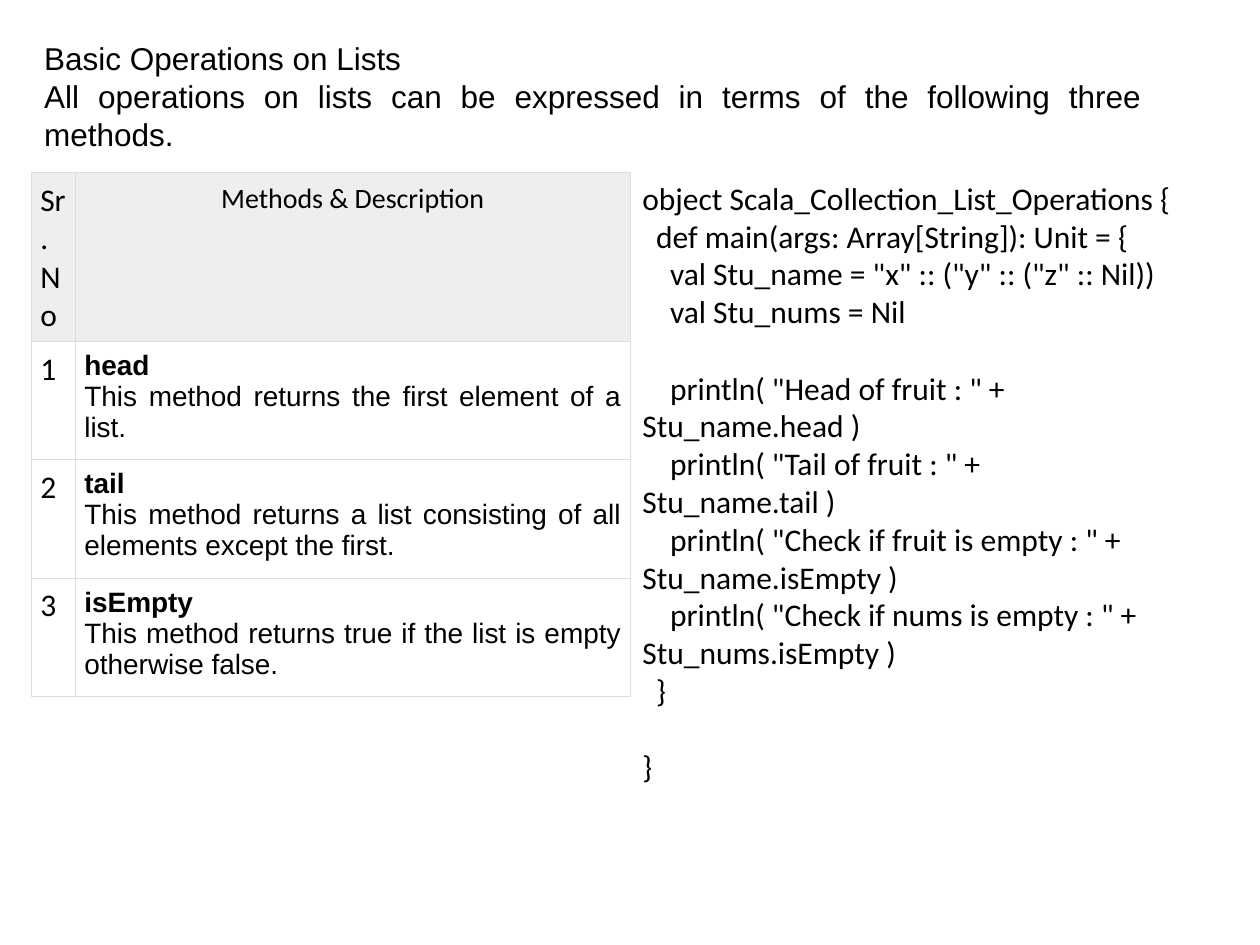
import dataclasses

import pptx
import pptx.dml.color
import pptx.enum.text
import pptx.oxml
import pptx.oxml.ns
import pptx.util
from pptx.util import Inches, Pt

ALIGN = pptx.enum.text.PP_ALIGN
ANCHOR = pptx.enum.text.MSO_ANCHOR
AUTO_SIZE = pptx.enum.text.MSO_AUTO_SIZE
TITLE_ONLY = 5


@dataclasses.dataclass(frozen=True)
class Theme:
    text: str = "000000"
    header_fill: str = "EEEEEE"
    border: str = "DDDDDD"
    border_width: float = 0.6
    heading_font: str = "Arial"
    body_font: str = "Calibri"
    large: int = 18
    small: int = 16
    blank_line: int = 22
    code_indent: float = 0.11


THEME = Theme()

HEADING = [
    ("Basic Operations on Lists", ALIGN.LEFT),
    ("All operations on lists can be expressed in terms of the following "
     "three methods.", ALIGN.JUSTIFY),
]
METHODS = [
    ("head", "This method returns the first element of a list."),
    ("tail", "This method returns a list consisting of all elements except the first."),
    ("isEmpty", "This method returns true if the list is empty otherwise false."),
]
# Indent level, whether a gap comes before, code
CODE = [
    (0, False, "object Scala_Collection_List_Operations {"),
    (1, False, "def main(args: Array[String]): Unit = {"),
    (2, False, 'val Stu_name = "x" :: ("y" :: ("z" :: Nil))'),
    (2, False, "val Stu_nums = Nil"),
    (2, True, 'println( "Head of fruit : " + Stu_name.head )'),
    (2, False, 'println( "Tail of fruit : " + Stu_name.tail )'),
    (2, False, 'println( "Check if fruit is empty : " + Stu_name.isEmpty )'),
    (2, False, 'println( "Check if nums is empty : " + Stu_nums.isEmpty )'),
    (1, False, "}"),
    (0, True, "}"),
]


def set_attributes(target, values):
    for name, value in values.items():
        setattr(target, name, value)


def write_paragraph(frame, index, text, font, size, align=ALIGN.LEFT, bold=False):
    """Write the paragraph at index, adding it unless it is the first."""
    paragraph = frame.add_paragraph() if index else frame.paragraphs[0]
    set_attributes(paragraph, {"alignment": align, "line_spacing": 1.0,
                               "space_before": Pt(0), "space_after": Pt(0)})
    run = paragraph.add_run()
    run.text = text
    set_attributes(run.font, {"name": font, "size": Pt(size), "bold": bold})
    run.font.color.rgb = pptx.dml.color.RGBColor.from_string(THEME.text)
    return paragraph


def format_frame(frame):
    set_attributes(frame, {"word_wrap": True, "vertical_anchor": ANCHOR.TOP,
                           "auto_size": AUTO_SIZE.SHAPE_TO_FIT_TEXT})


def place_heading(slide, left, top, width, height):
    title = slide.shapes.title
    set_attributes(title, {"left": left, "top": top, "width": width, "height": height})
    format_frame(title.text_frame)
    for index, (text, align) in enumerate(HEADING):
        write_paragraph(title.text_frame, index, text, THEME.heading_font,
                        THEME.large, align)


def format_cell(cell, fill=None):
    set_attributes(cell, {f"margin_{side}": Inches(0.07)
                          for side in ("left", "right", "top", "bottom")})
    properties = cell._tc.get_or_add_tcPr()
    for edge in ("lnL", "lnR", "lnT", "lnB"):
        properties.append(pptx.oxml.parse_xml(
            f'<a:{edge} {pptx.oxml.ns.nsdecls("a")} w="{Pt(THEME.border_width)}">'
            f'<a:solidFill><a:srgbClr val="{THEME.border}"/></a:solidFill></a:{edge}>'))
    if fill:
        cell.fill.solid()
        cell.fill.fore_color.rgb = pptx.dml.color.RGBColor.from_string(fill)
    else:
        cell.fill.background()


def place_methods_table(slide, left, top, width, height):
    table = slide.shapes.add_table(len(METHODS) + 1, 2, left, top, width, height).table
    table.horz_banding = False
    number_width, header_height = Inches(0.35), Inches(1.33)
    table.columns[0].width = number_width
    table.columns[1].width = width - number_width
    for index, row in enumerate(table.rows):
        row.height = (height - header_height) // len(METHODS) if index else header_height
        for cell in row.cells:
            format_cell(cell, None if index else THEME.header_fill)

    write_paragraph(table.cell(0, 0).text_frame, 0, "Sr.No",
                    THEME.body_font, THEME.large)
    write_paragraph(table.cell(0, 1).text_frame, 0, "Methods & Description",
                    THEME.body_font, THEME.small, ALIGN.CENTER)
    for number, lines in enumerate(METHODS, start=1):
        write_paragraph(table.cell(number, 0).text_frame, 0, str(number),
                        THEME.body_font, THEME.large)
        for index, text in enumerate(lines):
            write_paragraph(table.cell(number, 1).text_frame, index, text,
                            THEME.heading_font, THEME.small, ALIGN.JUSTIFY,
                            bold=index == 0)


def place_code(slide, left, top, width, height):
    frame = slide.shapes.add_textbox(left, top, width, height).text_frame
    format_frame(frame)
    for index, (level, gap, text) in enumerate(CODE):
        paragraph = write_paragraph(frame, index, text, THEME.body_font, THEME.large)
        if gap:
            paragraph.space_before = Pt(THEME.blank_line)
        properties = paragraph._p.get_or_add_pPr()
        properties.set("marL", "0")
        properties.set("indent", str(Inches(THEME.code_indent * level)))


def main():
    presentation = pptx.Presentation()
    set_attributes(presentation, {"slide_width": Inches(10), "slide_height": Inches(7.5)})
    slide = presentation.slides.add_slide(presentation.slide_layouts[TITLE_ONLY])
    place_heading(slide, Inches(0.25), Inches(0.26), Inches(8.91), Inches(1.01))
    place_methods_table(slide, Inches(0.25), Inches(1.37), Inches(4.75), Inches(4.13))
    place_code(slide, Inches(5), Inches(1.37), Inches(4.43), Inches(4.95))
    presentation.save("out.pptx")


if __name__ == "__main__":
    main()
